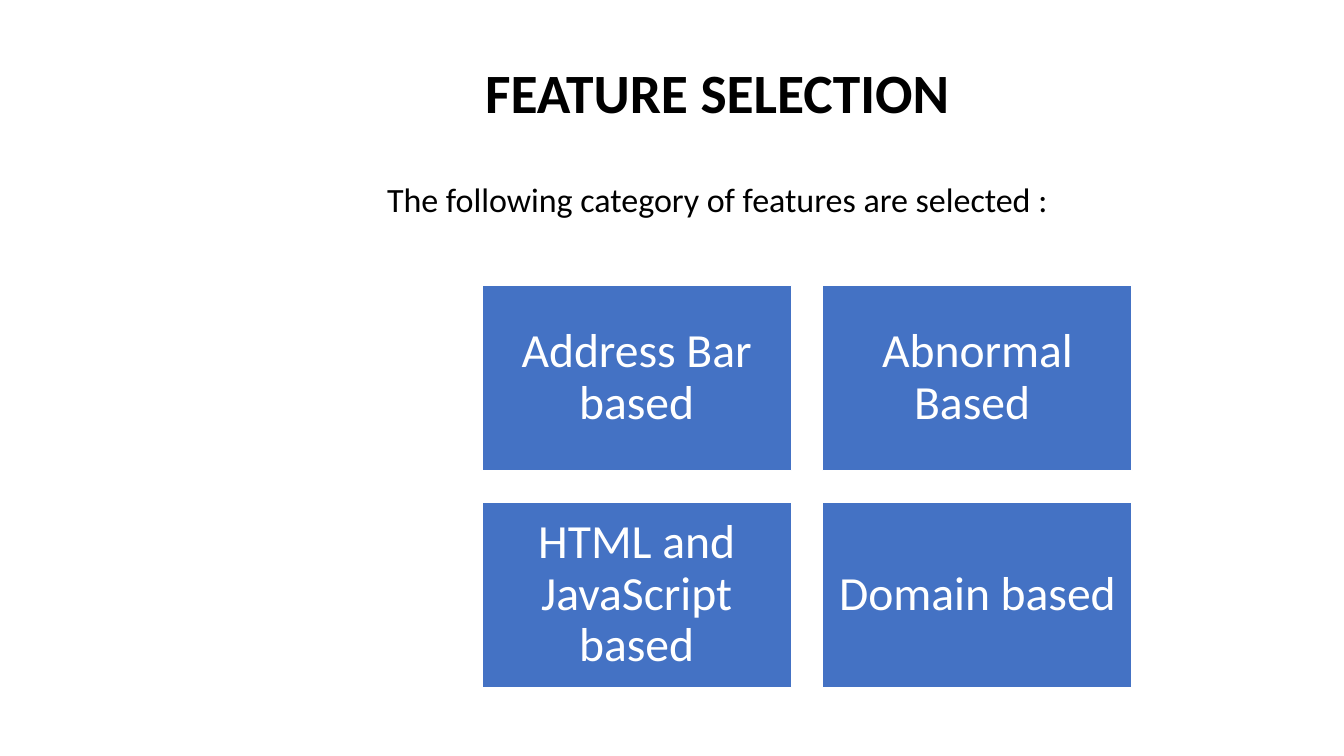
import pptx
import pptx.util
import pptx.dml.color
import pptx.enum.shapes
import pptx.enum.text

PX = 9144  # EMU per px, 100 px to the inch


def px(n):
    return pptx.util.Emu(n * PX)


def color(code):
    return pptx.dml.color.RGBColor.from_string(code)


def write(frame, text, size, ink="000000", bold=False, inset=10, after=0):
    frame.word_wrap = True
    frame.vertical_anchor = pptx.enum.text.MSO_ANCHOR.MIDDLE
    frame.margin_left = frame.margin_right = px(inset)
    frame.margin_top = frame.margin_bottom = px(inset)
    para = frame.paragraphs[0]
    para.alignment = pptx.enum.text.PP_ALIGN.CENTER
    para.line_spacing = 0.9
    para.space_after = pptx.util.Pt(after)
    run = para.add_run()
    run.text = text
    run.font.name = "Calibri"
    run.font.size = pptx.util.Pt(size)
    run.font.bold = bold
    run.font.color.rgb = color(ink)


class Deck:
    fill = "4472C4"
    white = "FFFFFF"

    def __init__(self, wide, high):
        self.file = pptx.Presentation()
        self.file.slide_width = px(wide)
        self.file.slide_height = px(high)
        self.slide = self.file.slides.add_slide(self.file.slide_layouts[6])
        back = self.slide.background.fill
        back.solid()
        back.fore_color.rgb = color(self.white)

    def label(self, text, x, y, w, h, **style):
        box = self.slide.shapes.add_textbox(px(x), px(y), px(w), px(h))
        write(box.text_frame, text, inset=0, **style)

    def card(self, text, x, y, w, h):
        kind = pptx.enum.shapes.MSO_SHAPE.RECTANGLE
        box = self.slide.shapes.add_shape(kind, px(x), px(y), px(w), px(h))
        box.shadow.inherit = False
        box.fill.solid()
        box.fill.fore_color.rgb = color(self.fill)
        box.line.color.rgb = color(self.white)
        box.line.width = pptx.util.Pt(1)
        write(box.text_frame, text, 34, ink=self.white, inset=14)


def main():
    deck = Deck(1333, 750)

    # Title and lead line
    deck.label("FEATURE SELECTION", 182, 60, 1059, 70, size=39.6, bold=True)
    deck.label("The following category of features are selected :",
               182, 175, 1059, 50, size=24.3)

    # Two by two grid of feature groups
    groups = ["Address Bar based", "Abnormal Based ",
              "HTML and JavaScript based", "Domain based"]
    left, top, wide, high, gap = 478, 283, 307, 184, 31
    for i, name in enumerate(groups):
        row, col = divmod(i, 2)
        deck.card(name, left + col * (wide + gap), top + row * (high + gap),
                  wide, high)

    deck.file.save("out.pptx")


if __name__ == "__main__":
    main()
